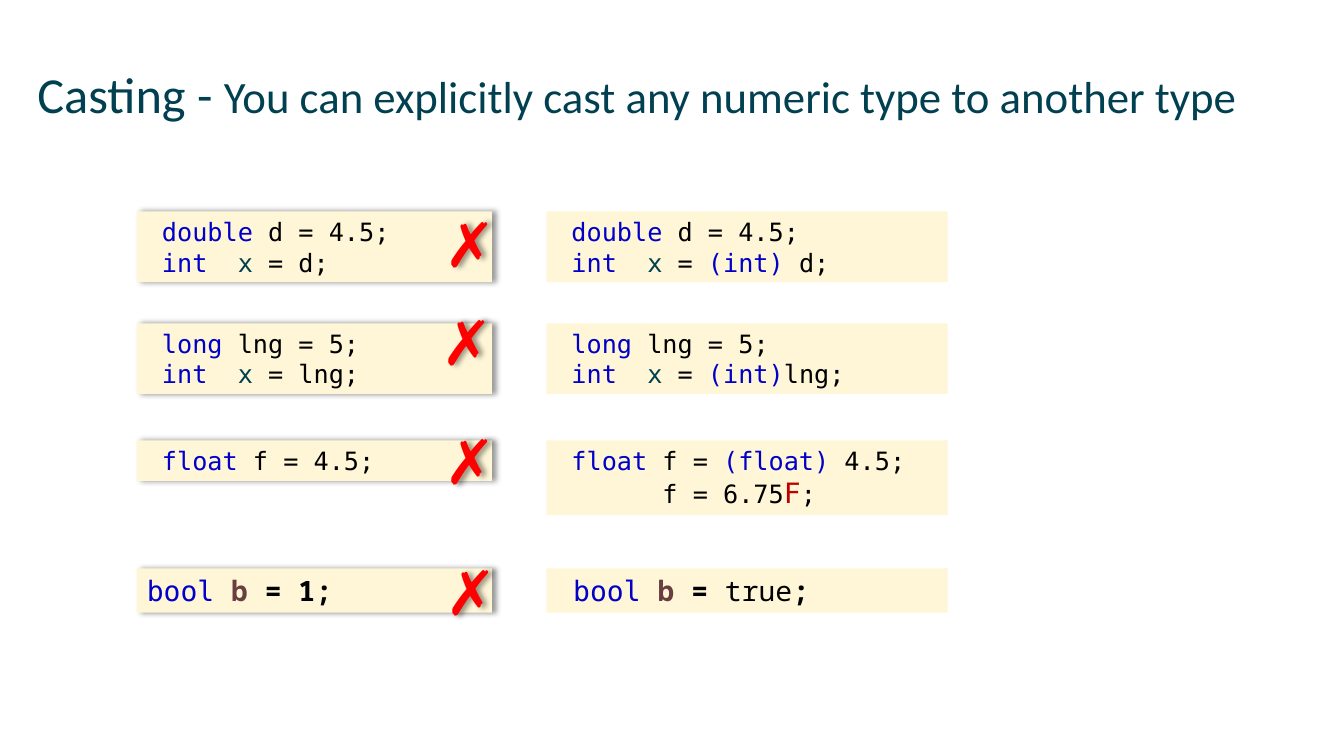
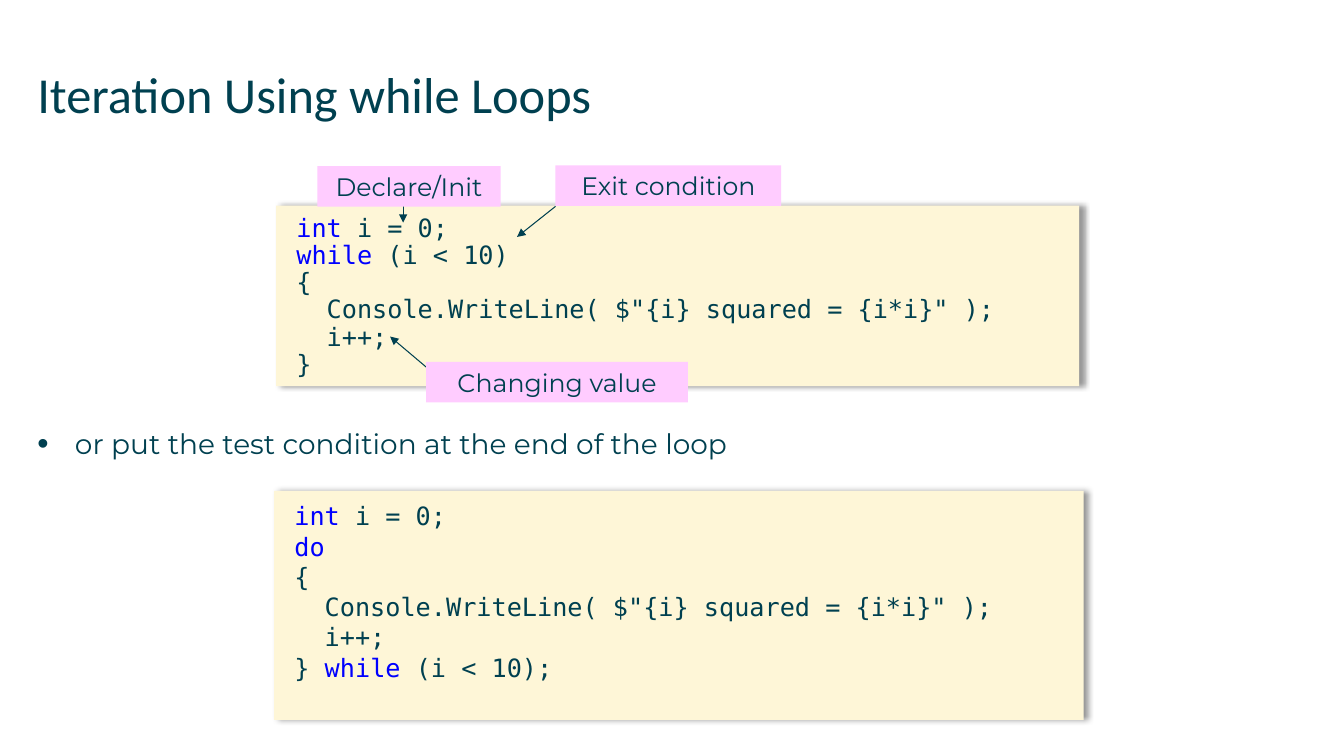
"""Build two C# teaching slides: numeric casting and while loops."""
import lxml.etree
import pptx
import pptx.dml.color
import pptx.enum.shapes
import pptx.enum.text
import pptx.oxml.ns
import pptx.util

TEAL, CREAM, PINK, BLACK = "004050", "FEF6D7", "FFCCFF", "000000"
NAVY, BLUE, BROWN, CRIMSON, RED = "0000C8", "0000FF", "6A3E3E", "C00000", "FF0000"
CODE_FONT, SYMBOL_FONT = "DejaVu Sans Mono", "Noto Sans Mono"
TITLE_FONT, TEXT_FONT = "Calibri", "Montserrat"
TOP = pptx.enum.text.MSO_ANCHOR.TOP
MIDDLE = pptx.enum.text.MSO_ANCHOR.MIDDLE
LEFT = pptx.enum.text.PP_ALIGN.LEFT
CENTER = pptx.enum.text.PP_ALIGN.CENTER
SMALL, LARGE = {"size": 18}, {"size": 20}
BOLD = {"size": 20, "name": SYMBOL_FONT, "bold": True}
REGULAR = {"size": 20, "name": SYMBOL_FONT, "bold": False}

INT_X = [(" int", NAVY), ("  x", TEAL)]
CASTING_ROWS = [
    {"top": 5.33, "heights": (1.78, 1.78), "cross": (10.95, 5.05),
     "wrong": [[(" double ", NAVY), ("d = 4.5;", BLACK)],
               INT_X + [(" = d;", BLACK)]],
     "right": [[(" double ", NAVY), ("d = 4.5;", BLACK)],
               INT_X + [(" = ", BLACK), ("(int) ", NAVY), ("d;", BLACK)]]},
    {"top": 8.15, "heights": (1.78, 1.78), "cross": (10.87, 7.52),
     "wrong": [[(" long ", NAVY), ("lng = 5;", BLACK)],
               INT_X + [(" = lng;", BLACK)]],
     "right": [[(" long ", NAVY), ("lng = 5;", BLACK)],
               INT_X + [(" = ", BLACK), ("(int)", NAVY), ("lng;", BLACK)]]},
    {"top": 11.1, "heights": (1.02, 1.88), "cross": (10.95, 10.54),
     "wrong": [[(" float ", NAVY), ("f = 4.5;", BLACK)]],
     "right": [[(" float ", NAVY), ("f = ", BLACK), ("(float) ", NAVY),
                ("4.5;", BLACK)],
               [("       f = 6.75", BLACK), ("F", CRIMSON, LARGE), (";", BLACK)]]},
    {"top": 14.32, "heights": (1.12, 1.12), "cross": (10.97, 13.84),
     "wrong": [[("bool ", NAVY, LARGE), ("b", BROWN, BOLD), (" = 1;", BLACK, BOLD)]],
     "right": [[(" bool ", NAVY, LARGE), ("b", BROWN, BOLD), (" = ", BLACK, BOLD),
                ("true", BLACK, REGULAR), (";", BLACK, BOLD)]]},
]

DECLARE = [("int ", BLUE), ("i = 0;", TEAL)]
LOOP_BODY = [[("{", TEAL)],
             [('  Console.WriteLine( $"{i} squared = {i*i}" );', TEAL)],
             [("  i++;", TEAL)]]
WHILE_LOOP = [DECLARE, [("while", BLUE), (" (i < 10)", TEAL)],
              *LOOP_BODY, [("}", TEAL)]]
DO_LOOP = [DECLARE, [("do", BLUE)], *LOOP_BODY,
           [("} ", TEAL), ("while", BLUE), (" (i < 10);", TEAL)]]
ARROWS = [(10.16, 5.2, 10.16, 5.61), (14, 5.2, 13.03, 5.97),
          (11.25, 9.68, 9.83, 8.48)]
LABELS = [("Declare/Init", (8, 4.19, 4.62, 1.02)),
          ("Exit condition", (14, 4.17, 5.69, 1.02)),
          ("Changing value", (10.74, 9.12, 6.6, 1.02))]


def rgb(value):
    """Turn a hex string into a colour."""
    return pptx.dml.color.RGBColor.from_string(value)


def lengths(values):
    """Turn numbers in centimetres into lengths."""
    return [pptx.util.Cm(value) for value in values]


def set_format(target, values):
    """Set each named attribute on the target."""
    for name, value in values.items():
        setattr(target, name, value)


def add_node(parent, tag, **attributes):
    """Append a DrawingML element and return it."""
    return lxml.etree.SubElement(parent, pptx.oxml.ns.qn(tag), attributes)


def write(frame, lines, font=CODE_FONT, insets=(0, 0, 0, 0), anchor=TOP,
          wrap=True, **paragraph_format):
    """Fill a text frame with lines of (text, colour, font overrides) runs."""
    sides = ("margin_left", "margin_top", "margin_right", "margin_bottom")
    set_format(frame, {"word_wrap": wrap, "vertical_anchor": anchor,
                       "auto_size": pptx.enum.text.MSO_AUTO_SIZE.NONE,
                       **dict(zip(sides, lengths(insets)))})
    for index, line in enumerate(lines):
        paragraph = frame.add_paragraph() if index else frame.paragraphs[0]
        set_format(paragraph, {"alignment": LEFT, **paragraph_format})
        for text, colour, *overrides in line:
            run = paragraph.add_run()
            run.text = text
            values = {"name": font, **SMALL, **(overrides[0] if overrides else {})}
            values["size"] = pptx.util.Pt(values["size"])
            set_format(run.font, values)
            run.font.color.rgb = rgb(colour)


def add_shadow(shape):
    """Give a shape a soft shadow to its right."""
    effects = shape.element.spPr.find(pptx.oxml.ns.qn("a:effectLst"))
    shadow = add_node(effects, "a:outerShdw", blurRad=str(pptx.util.Pt(4)),
                      dist=str(pptx.util.Pt(3)), dir="0", algn="l",
                      rotWithShape="0")
    add_node(add_node(shadow, "a:srgbClr", val=BLACK), "a:alpha", val="40000")


def add_panel(slide, box, fill, lines, shadow=False, **text_format):
    """Add a borderless filled rectangle with text."""
    panel = slide.shapes.add_shape(
        pptx.enum.shapes.MSO_SHAPE.RECTANGLE, *lengths(box))
    panel.fill.solid()
    panel.fill.fore_color.rgb = rgb(fill)
    panel.line.fill.background()
    panel.shadow.inherit = False
    if shadow:
        add_shadow(panel)
    write(panel.text_frame, lines, **text_format)


def add_cross(slide, left, top):
    """Add a red cross that marks code as wrong."""
    cross = slide.shapes.add_textbox(*lengths((left, top, 1.5, 2.13)))
    cross.shadow.inherit = False
    add_shadow(cross)
    write(cross.text_frame, [[("✗", RED, {"size": 44})]], font=SYMBOL_FONT,
          insets=(0.25, 0.13, 0.25, 0.13), wrap=False)


def add_arrow(slide, ends):
    """Add a thin arrow from the first point to the second."""
    arrow = slide.shapes.add_connector(
        pptx.enum.shapes.MSO_CONNECTOR.STRAIGHT, *lengths(ends))
    arrow.line.color.rgb = rgb(TEAL)
    arrow.line.width = pptx.util.Pt(0.75)
    properties = arrow.element.spPr
    add_node(properties.find(pptx.oxml.ns.qn("a:ln")), "a:tailEnd", type="triangle")
    add_node(properties, "a:effectLst")


def place(placeholder, box):
    """Move a placeholder to a box."""
    set_format(placeholder, dict(zip(("left", "top", "width", "height"),
                                     lengths(box))))


def add_slide(deck, layout, title_runs):
    """Add a slide with the shared title style."""
    slide = deck.slides.add_slide(deck.slide_layouts.get_by_name(layout))
    place(slide.shapes.title, (0.94, 1.6, 32, 2.24))
    write(slide.shapes.title.text_frame,
          [[(text, TEAL, {"size": size}) for text, size in title_runs]],
          font=TITLE_FONT)
    return slide


def add_bullet(slide, text, box):
    """Write a bulleted line in the body placeholder."""
    body = slide.placeholders[1]
    place(body, box)
    write(body.text_frame, [[(text, TEAL, LARGE)]], font=TEXT_FONT,
          space_before=pptx.util.Pt(0), space_after=pptx.util.Pt(6.5))
    properties = body.text_frame.paragraphs[0]._p.get_or_add_pPr()
    indent = pptx.util.Cm(0.95)
    properties.set("marL", str(indent))
    properties.set("indent", str(-indent))
    add_node(properties, "a:buSzPct", val="115000")
    add_node(properties, "a:buChar", char="•")


def build_casting(deck):
    """Build the slide that sets wrong code beside right code."""
    slide = add_slide(deck, "Title Only", [
        ("Casting - ", 36),
        ("You can explicitly cast any numeric type to another type", 32)])
    insets = (0.25, 0.13, 0.25, 0.13)
    for row in CASTING_ROWS:
        wrong_height, right_height = row["heights"]
        add_panel(slide, (3.45, row["top"], 8.95, wrong_height), CREAM,
                  row["wrong"], shadow=True, insets=insets)
        add_panel(slide, (13.77, row["top"], 10.11, right_height), CREAM,
                  row["right"], insets=insets)
        add_cross(slide, *row["cross"])


def build_loops(deck):
    """Build the slide on while and do loops."""
    slide = add_slide(deck, "Title and Content",
                      [("Iteration Using while Loops", 36)])
    add_bullet(slide, "or put the test condition at the end of the loop",
               (0.94, 10.74, 31.98, 1.09))
    insets = (0.51, 0.25, 0.25, 0.13)
    add_panel(slide, (6.96, 5.18, 20.24, 4.55), CREAM, WHILE_LOOP, shadow=True,
              insets=insets, line_spacing=0.9)
    add_panel(slide, (6.91, 12.37, 20.4, 5.77), CREAM, DO_LOOP, shadow=True,
              insets=insets)
    for ends in ARROWS:
        add_arrow(slide, ends)
    for text, box in LABELS:
        add_panel(slide, box, PINK, [[(text, TEAL)]], font=TEXT_FONT,
                  anchor=MIDDLE, alignment=CENTER)


def main():
    """Build and save the deck."""
    deck = pptx.Presentation()
    deck.slide_width, deck.slide_height = lengths((33.87, 19.05))
    build_casting(deck)
    build_loops(deck)
    deck.save("out.pptx")


if __name__ == "__main__":
    main()
